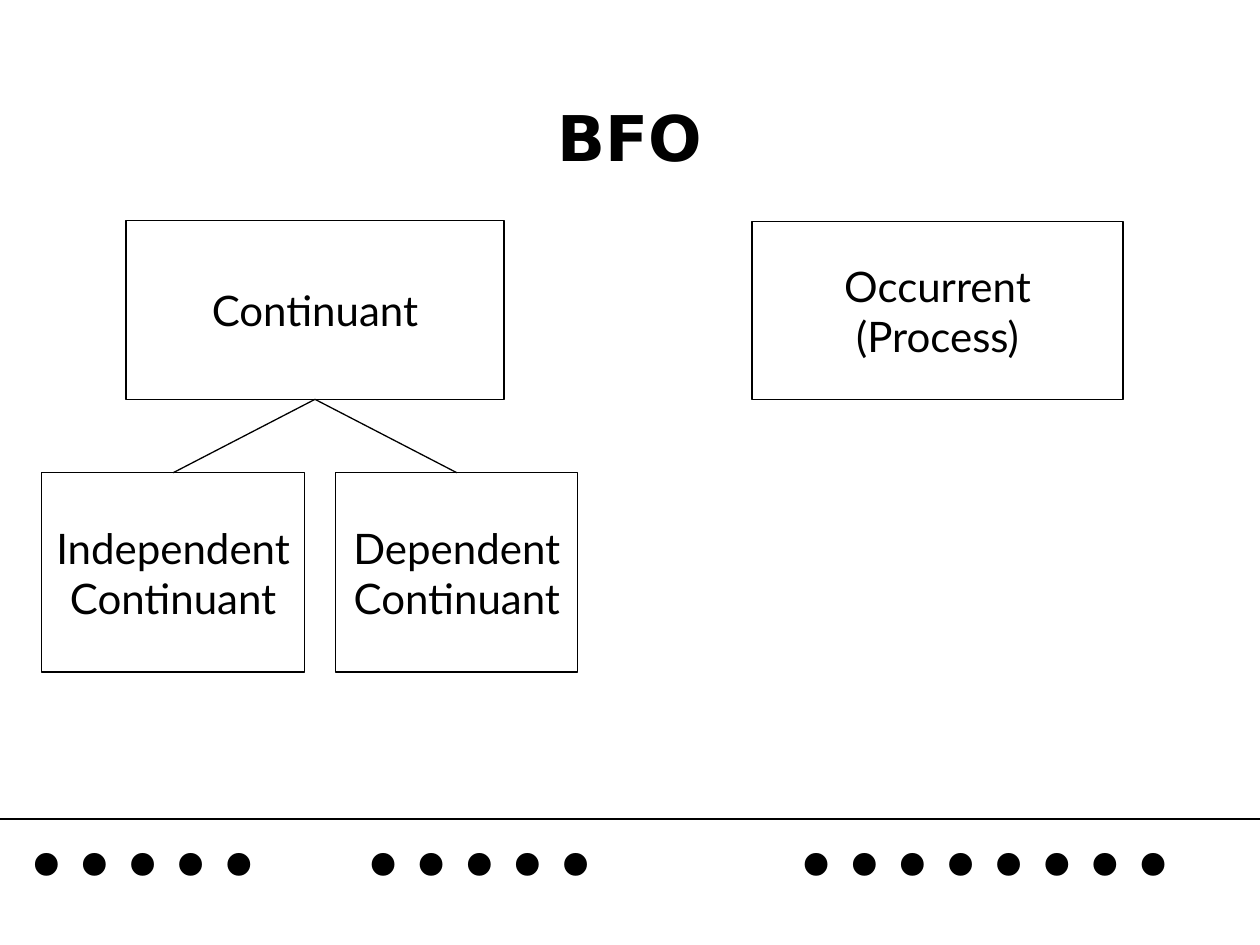
from lxml import etree
from pptx import Presentation
from pptx import util as u
from pptx.dml.color import RGBColor
from pptx.enum import shapes, text
from pptx.oxml.ns import qn

BLACK = "000000"
DOT_PITCH = 0.97


def color(hex_code):
    """Turn a hex string into a colour."""
    return RGBColor.from_string(hex_code)


def style_line(line, hex_code=BLACK):
    """Give an outline or a connector its thin line."""
    line.width = u.Pt(0.75)
    line.color.rgb = color(hex_code)


def write(shape, content, size=24, font="Lato", hex_code=BLACK, bold=False,
          align=text.PP_ALIGN.CENTER, anchor=text.MSO_ANCHOR.MIDDLE,
          wrap=False, spacing=None, tabs=()):
    """Fill a shape with text, one paragraph for each line."""
    frame = shape.text_frame
    frame.word_wrap = wrap
    frame.vertical_anchor = anchor
    frame.text = content
    for paragraph in frame.paragraphs:
        if spacing:
            paragraph.line_spacing = spacing
        paragraph.alignment = align
        if tabs:
            tab_list = etree.SubElement(paragraph._p.get_or_add_pPr(), qn("a:tabLst"))
            for stop in tabs:
                etree.SubElement(tab_list, qn("a:tab"), pos=str(u.Cm(stop)), algn="l")
        for run in paragraph.runs:
            run.font.size = u.Pt(size)
            run.font.name = font
            run.font.bold = bold
            run.font.color.rgb = color(hex_code)


def add_text(slide, content, left, top, width, height, **style):
    """Add a text box."""
    label = slide.shapes.add_textbox(u.Cm(left), u.Cm(top), u.Cm(width), u.Cm(height))
    write(label, content, **style)


def add_category(slide, name, left, top, width, height):
    """Add an outlined box for one category."""
    category = slide.shapes.add_shape(
        shapes.MSO_SHAPE.RECTANGLE, u.Cm(left), u.Cm(top), u.Cm(width), u.Cm(height))
    category.shadow.inherit = False
    category.fill.background()
    style_line(category.line)
    write(category, name)
    return category


def add_line(slide, x1=0, y1=0, x2=0, y2=0):
    """Add a straight line without a shadow."""
    line = slide.shapes.add_connector(
        shapes.MSO_CONNECTOR.STRAIGHT, u.Cm(x1), u.Cm(y1), u.Cm(x2), u.Cm(y2))
    style_line(line.line)
    etree.SubElement(line._element.spPr, qn("a:effectLst"))
    return line


def add_branch(slide, parent, child):
    """Join the bottom of a parent to the top of its child."""
    branch = add_line(slide)
    branch.begin_connect(parent, 2)
    branch.end_connect(child, 0)


def main():
    """Build the slide."""
    deck = Presentation()
    deck.slide_width, deck.slide_height = u.Cm(25.4), u.Cm(19.05)
    slide = deck.slides.add_slide(deck.slide_layouts[6])

    add_text(slide, "BFO", 0, 1.7, 25.4, 1.9, size=36, font="DejaVu Sans",
             bold=True, wrap=True, spacing=1.12)

    continuant = add_category(slide, "Continuant", 2.54, 4.45, 7.62, 3.6)
    add_category(slide, "Occurrent\n(Process)", 15.16, 4.47, 7.48, 3.58)
    independent = add_category(slide, "Independent\nContinuant", 0.84, 9.53, 5.3, 4.02)
    dependent = add_category(slide, "Dependent\nContinuant", 6.77, 9.53, 4.88, 4.02)
    for child in (independent, dependent):
        add_branch(slide, continuant, child)

    add_line(slide, 0, 16.51, 26.04, 16.51)
    add_text(slide, ".....\t.....\t........", 0.2, 15.44, 25.83, 2.82, size=110,
             font="Times New Roman", align=text.PP_ALIGN.LEFT,
             anchor=text.MSO_ANCHOR.TOP, wrap=True, spacing=0.55,
             tabs=(7 * DOT_PITCH, 16 * DOT_PITCH))

    deck.save("out.pptx")


if __name__ == "__main__":
    main()
